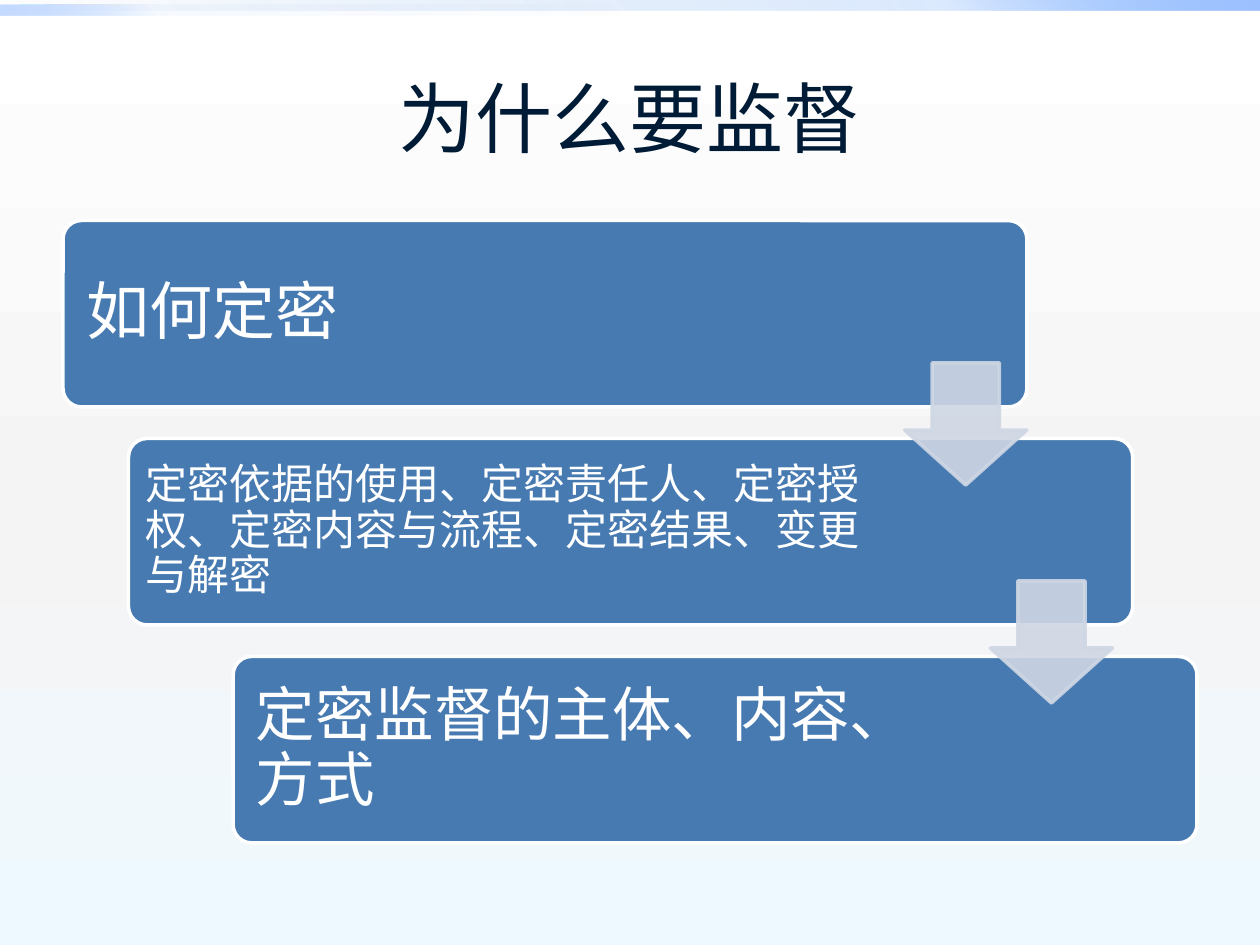
import pptx
import pptx.util
import pptx.dml.color
import pptx.enum.shapes
import pptx.enum.text
import pptx.oxml
import pptx.oxml.ns
from pptx.util import Inches

RGBColor = pptx.dml.color.RGBColor
SHAPE = pptx.enum.shapes.MSO_SHAPE
ALIGN = pptx.enum.text.PP_ALIGN

WHITE = RGBColor(0xFF, 0xFF, 0xFF)
PALE_GREY = RGBColor(0xF4, 0xF4, 0xF4)
PALE_BLUE = RGBColor(0xEE, 0xF9, 0xFF)
DEEP_BLUE = RGBColor(0x00, 0x58, 0xB7)
BRIGHT_BLUE = RGBColor(0x4F, 0x95, 0xFF)
SKY_BLUE = RGBColor(0x9E, 0xC2, 0xFF)
NAVY = RGBColor(0x00, 0x1B, 0x36)
STEEL_BLUE = RGBColor(0x47, 0x7A, 0xB1)
ARROW_GREY = RGBColor(0xCF, 0xD7, 0xE4)

STEP_PITCH = 1.73
STEP_HEIGHT = 1.48
# left, width, text width, text inset, text size, wording
STEPS = [
    (0.5, 7.65, 6.05, 0.15, 36, "如何定密"),
    (1.02, 7.97, 6.17, 0.1, 24,
     "定密依据的使用、定密责任人、定密授权、定密内容与流程、定密结果、变更与解密"),
    (1.85, 7.65, 5.92, 0.14, 34, "定密监督的主体、内容、方式"),
]


def set_alpha(color_element, percent):
    alpha = pptx.oxml.parse_xml(
        f'<a:alpha {pptx.oxml.ns.nsdecls("a")} val="{percent * 1000}"/>')
    color_element.append(alpha)


def set_gradient(fill, owner, stops, angle):
    """Fill with (position, colour, opacity) stops; angle runs clockwise."""
    fill.gradient()
    gradient = owner.find(".//" + pptx.oxml.ns.qn("a:gradFill"))
    stop_list = gradient.find(pptx.oxml.ns.qn("a:gsLst"))
    for old_stop in list(stop_list):
        stop_list.remove(old_stop)
    for position, color, opacity in stops:
        stop = pptx.oxml.parse_xml(
            f'<a:gs {pptx.oxml.ns.nsdecls("a")} pos="{position * 1000}">'
            f'<a:srgbClr val="{color}"/></a:gs>')
        if opacity < 100:
            set_alpha(stop[0], opacity)
        stop_list.append(stop)
    gradient.find(pptx.oxml.ns.qn("a:lin")).set("ang", str(angle * 60000))


def write_text(frame, text, *, size, font, color, align=ALIGN.LEFT,
               line_spacing=None, inset=None):
    frame.word_wrap = True
    frame.auto_size = pptx.enum.text.MSO_AUTO_SIZE.NONE
    frame.vertical_anchor = pptx.enum.text.MSO_ANCHOR.MIDDLE
    if inset is not None:
        frame.margin_left = frame.margin_right = Inches(inset)
        frame.margin_top = frame.margin_bottom = Inches(inset)
    para = frame.paragraphs[0]
    para.alignment = align
    para.line_spacing = line_spacing
    span = para.add_run()
    span.text = text
    span.font.size = pptx.util.Pt(size)
    span.font.name = font
    span.font.color.rgb = color


def add_box(shapes, kind, left, top, width, height):
    box = shapes.add_shape(kind, Inches(left), Inches(top),
                           Inches(width), Inches(height))
    box.shadow.inherit = False
    return box


def paint(box, fill_color, line_color):
    box.fill.solid()
    box.fill.fore_color.rgb = fill_color
    box.line.color.rgb = line_color
    box.line.width = pptx.util.Pt(2)


def add_backdrop(page):
    set_gradient(page.background.fill, page.element,
                 [(0, WHITE, 100), (55, PALE_GREY, 100), (100, PALE_BLUE, 100)], 90)
    # Two thin bars along the top edge
    for top, width, middle, end, angle in [(0, 10, 20, 100, 315),
                                           (0.04, 5, 5, 60, 135)]:
        bar = add_box(page.shapes, SHAPE.RECTANGLE, 0, top, width, 0.08)
        bar.line.fill.background()
        set_gradient(bar.fill, bar.element,
                     [(0, DEEP_BLUE, 0), (75, BRIGHT_BLUE, middle),
                      (100, SKY_BLUE, end)], angle)


def add_title(page, left, top, width, height):
    title = page.shapes.title
    title.left, title.top = Inches(left), Inches(top)
    title.width, title.height = Inches(width), Inches(height)
    write_text(title.text_frame, "为什么要监督", size=44, font="Roboto",
               color=NAVY, align=ALIGN.CENTER)


def add_step(shapes, left, top, width, height, text_width, inset, size, text):
    card = add_box(shapes, SHAPE.ROUNDED_RECTANGLE, left, top, width, height)
    card.adjustments[0] = 0.1
    paint(card, STEEL_BLUE, WHITE)
    label = shapes.add_textbox(Inches(left + 0.04), Inches(top + 0.04),
                               Inches(text_width), Inches(height - 0.08))
    write_text(label.text_frame, text, size=size, font="Cambria", color=WHITE,
               line_spacing=0.9, inset=inset)


def add_arrow(shapes, left, top, side):
    arrow = add_box(shapes, SHAPE.DOWN_ARROW, left, top, side, side)
    arrow.adjustments[0] = 0.55
    arrow.adjustments[1] = 0.45
    paint(arrow, ARROW_GREY, ARROW_GREY)
    properties = arrow.element.spPr
    for color in properties.iter(pptx.oxml.ns.qn("a:srgbClr")):
        set_alpha(color, 90)


def add_process(page, top):
    shapes = page.shapes.add_group_shape().shapes
    for index, (left, width, text_width, inset, size, text) in enumerate(STEPS):
        add_step(shapes, left, top + index * STEP_PITCH, width, STEP_HEIGHT,
                 text_width, inset, size, text)
    # Arrows bridge each pair of cards
    for index in range(len(STEPS) - 1):
        add_arrow(shapes, 7.18 + index * 0.68, top + 1.13 + index * STEP_PITCH, 0.97)


def main():
    deck = pptx.Presentation()
    deck.slide_width, deck.slide_height = Inches(10), Inches(7.5)
    page = deck.slides.add_slide(deck.slide_layouts[5])
    add_backdrop(page)
    add_title(page, 0.5, 0.3, 9, 1.25)
    add_process(page, 1.75)
    deck.save("out.pptx")


if __name__ == "__main__":
    main()
